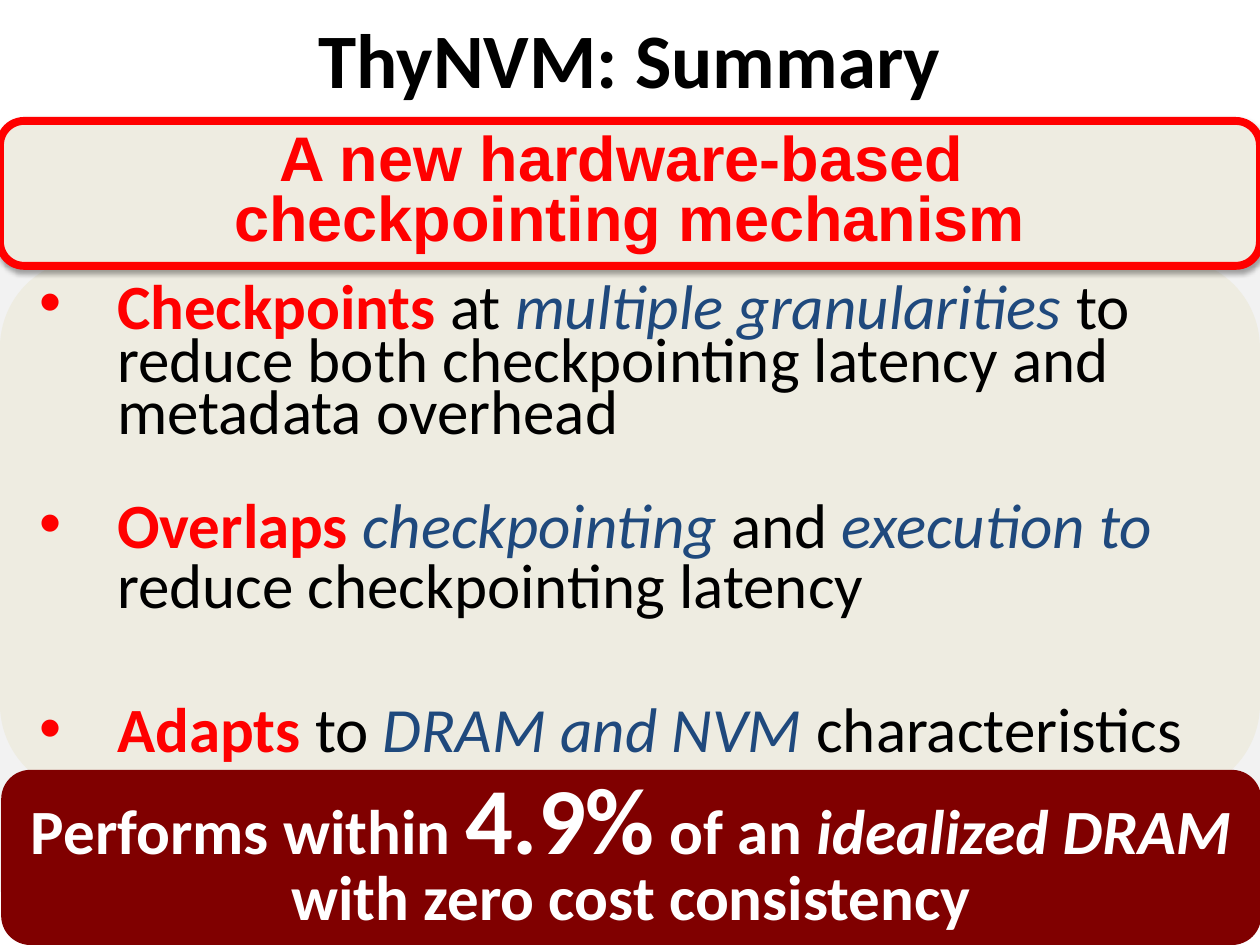
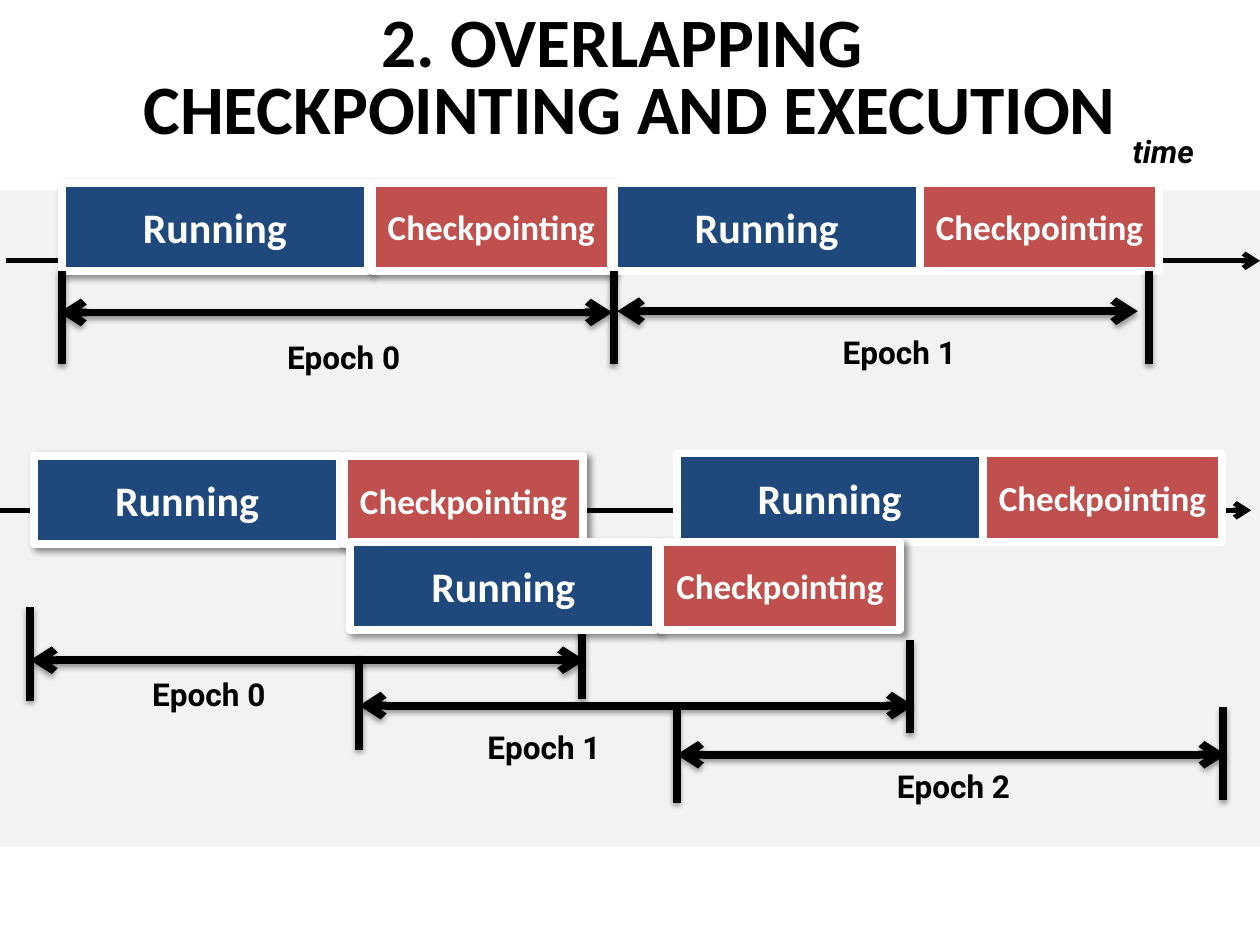
from lxml import etree
from pptx import Presentation
from pptx.dml.color import RGBColor
from pptx.enum.shapes import MSO_CONNECTOR, MSO_SHAPE
from pptx.enum.text import MSO_ANCHOR, MSO_AUTO_SIZE, PP_ALIGN
from pptx.oxml.ns import qn
from pptx.util import Inches, Pt

RECT, ROUND_RECT = MSO_SHAPE.RECTANGLE, MSO_SHAPE.ROUNDED_RECTANGLE
STRAIGHT = MSO_CONNECTOR.STRAIGHT
MIDDLE, CENTER, LEFT = MSO_ANCHOR.MIDDLE, PP_ALIGN.CENTER, PP_ALIGN.LEFT

WHITE = RGBColor(0xFF, 0xFF, 0xFF)
BLACK = RGBColor(0x00, 0x00, 0x00)
BAND_GREY = RGBColor(0xF2, 0xF2, 0xF2)
BEIGE = RGBColor(0xEE, 0xEC, 0xE1)
RED = RGBColor(0xFF, 0x00, 0x00)
NAVY = RGBColor(0x1F, 0x49, 0x7D)
BRICK = RGBColor(0xC0, 0x50, 0x4D)
MAROON = RGBColor(0x80, 0x00, 0x00)

# Shadows: opacity %, blur pt, distance pt, direction in degrees
BANNER_SHADOW = (35, 3.1, 1.8, 90)
TASK_SHADOW = (43, 4, 3, 45)
LINE_SHADOW = (38, 3.1, 1.6, 90)

TITLE_ONLY, TITLE_AND_BODY = 5, 1
SLIDE_W = 10
TITLE_H = 1.25
TICK_H = 0.74
TASK_H, RUN_W, CHECK_W = 0.7, 2.43, 1.9


def inches(*values):
    return [Inches(v) for v in values]


def set_shadow(sp, shadow=None):
    """Replace the theme shadow with the given one, or with none."""
    effects = etree.SubElement(sp._element.spPr, qn("a:effectLst"))
    if shadow:
        alpha, blur, dist, angle = shadow
        outer = etree.SubElement(
            effects, qn("a:outerShdw"), blurRad=str(Pt(blur)),
            dist=str(Pt(dist)), dir=str(angle * 60000), rotWithShape="0")
        color = etree.SubElement(outer, qn("a:srgbClr"), val=str(BLACK))
        etree.SubElement(color, qn("a:alpha"), val=str(alpha * 1000))


def add_run(p, text, size, color, bold=False, italic=False, font="Calibri"):
    r = p.add_run()
    r.text = text
    r.font.name, r.font.size = font, Pt(size)
    r.font.bold, r.font.italic = bold, italic
    r.font.color.rgb = color


def add_box(slide, kind, box, fill, line=None, shadow=None):
    sp = slide.shapes.add_shape(kind, *inches(*box))
    sp.fill.solid()
    sp.fill.fore_color.rgb = fill
    if line:
        sp.line.color.rgb = line
        sp.line.width = Pt(4.5)
    else:
        sp.line.fill.background()
    set_shadow(sp, shadow)
    sp.text_frame.word_wrap = True
    sp.text_frame.vertical_anchor = MIDDLE
    sp.text_frame.paragraphs[0].alignment = CENTER
    return sp


def add_line(slide, start, end, width=4.5, ends=(), shadow=LINE_SHADOW):
    line = slide.shapes.add_connector(STRAIGHT, *inches(*start, *end))
    line.line.color.rgb = BLACK
    line.line.width = Pt(width)
    for end_tag in ends:
        etree.SubElement(line.line._get_or_add_ln(), qn(end_tag), type="arrow")
    set_shadow(line, shadow)


def add_label(slide, text, left, top, width=1.2, italic=False):
    tb = slide.shapes.add_textbox(*inches(left, top, width, 0.4))
    tb.text_frame.word_wrap = True
    add_run(tb.text_frame.paragraphs[0], text, 18, BLACK, True, italic, "Roboto")


def place(ph, box):
    ph.left, ph.top, ph.width, ph.height = inches(*box)
    tf = ph.text_frame
    tf.auto_size, tf.word_wrap = MSO_AUTO_SIZE.NONE, True
    tf.vertical_anchor = MIDDLE
    return tf


def new_slide(prs, layout, title, title_top, size, spacing, band_top, band_h):
    """Add a slide with its bold title over a grey band."""
    slide = prs.slides.add_slide(prs.slide_layouts[layout])
    tf = place(slide.shapes.title, (0, title_top, SLIDE_W, TITLE_H))
    tf.text = title
    p = tf.paragraphs[0]
    p.alignment, p.line_spacing = CENTER, spacing
    for r in p.runs:
        r.font.name, r.font.size, r.font.bold = "Calibri", Pt(size), True
        r.font.color.rgb = BLACK
    add_box(slide, RECT, (0, band_top, SLIDE_W, band_h), BAND_GREY)
    return slide


def add_bullet(p):
    pPr = p._p.get_or_add_pPr()
    pPr.set("marL", str(Inches(0.62)))
    pPr.set("indent", str(-Inches(0.62)))
    etree.SubElement(pPr, qn("a:buFont"), typeface="Arial")
    etree.SubElement(pPr, qn("a:buChar"), char="•")


def add_findings(slide, box):
    """Bulleted list on a rounded panel; each item opens with a red keyword."""
    findings = [
        (0.7, 0, "Checkpoints",
         [(" at ", False), ("multiple granularities ", True),
          ("to reduce both checkpointing latency and metadata overhead", False)]),
        (0.8, 31, "Overlaps ",
         [("checkpointing", True), (" and ", False), ("execution to ", True),
          ("reduce checkpointing latency", False)]),
        (1.1, 35, "Adapts",
         [(" to ", False), ("DRAM and NVM ", True), ("characteristics", False)]),
    ]
    panel = add_box(slide, ROUND_RECT, box, BEIGE)
    body = slide.placeholders[1]
    panel._element.addnext(body._element)
    tf = place(body, box)
    tf.margin_left = tf.margin_right = Inches(0.31)
    for i, (spacing, before, keyword, rest) in enumerate(findings):
        p = tf.add_paragraph() if i else tf.paragraphs[0]
        add_bullet(p)
        p.alignment, p.line_spacing = LEFT, spacing
        p.space_before = Pt(before)
        add_run(p, keyword, 36, RED, bold=True)
        for text, stressed in rest:
            add_run(p, text, 36, NAVY if stressed else BLACK, italic=stressed)


def add_result(slide, box):
    p = add_box(slide, ROUND_RECT, box, MAROON).text_frame.paragraphs[0]
    p.line_spacing = 0.8
    for text, size, italic in [
            ("Performs within ", 36, False), ("4.9%", 54, False),
            (" of an ", 36, False), ("idealized DRAM ", 36, True),
            ("with zero cost consistency", 36, False)]:
        add_run(p, text, size, WHITE, True, italic)


def add_headline(slide, box):
    tf = add_box(slide, ROUND_RECT, box, BEIGE, RED, BANNER_SHADOW).text_frame
    tf.add_paragraph()
    lines = ["A new hardware-based ", "checkpointing mechanism"]
    for p, text in zip(tf.paragraphs, lines):
        p.alignment, p.line_spacing = CENTER, 0.8
        add_run(p, text, 36, RED, bold=True, font="Arial")


def summary_slide(prs):
    slide = new_slide(prs, TITLE_AND_BODY, "ThyNVM: Summary",
                      -0.17, 44, 1.0, 1.08, 6)
    add_findings(slide, (0, 2.05, SLIDE_W, 4.25))
    add_result(slide, (0.01, 6.11, SLIDE_W, 1.39))
    add_headline(slide, (0, 0.96, SLIDE_W, 1.15))


def add_axis(slide, left, right, y):
    add_line(slide, (left, y), (right, y), 3, ["a:tailEnd"], None)


def add_tasks(slide, top, pairs):
    """Draw (left, drop, raised) pairs: a run and the checkpoint after it."""
    for left, drop, raised in pairs:
        shadow = TASK_SHADOW if raised else None
        check_left = left + RUN_W + (0.03 if raised else 0)
        for text, x, width, size, fill in [
                ("Running", left, RUN_W, 24, NAVY),
                ("Checkpointing", check_left, CHECK_W, 20, BRICK)]:
            sp = add_box(slide, RECT, (x, top + drop, width, TASK_H),
                         fill, WHITE, shadow)
            add_run(sp.text_frame.paragraphs[0], text, size, WHITE, bold=True)


def add_epochs(slide, top, ticks, spans):
    """Draw tick marks, then a numbered two-headed arrow for each epoch."""
    for x, drop in ticks:
        add_line(slide, (x, top + drop), (x, top + drop + TICK_H))
    for n, (start, end, drop, label_left, label_drop) in enumerate(spans):
        y = top + drop
        add_line(slide, (start, y), (end, y), ends=["a:headEnd", "a:tailEnd"])
        add_label(slide, f"Epoch {n}", label_left, top + label_drop)


def add_serial_timeline(slide, top):
    add_axis(slide, 0.05, SLIDE_W, top + 0.62)
    add_label(slide, "time", 8.89, top - 0.45, 0.85, italic=True)
    add_tasks(slide, top, [(0.49, 0, True), (4.87, 0, False)])
    add_epochs(slide, top,
               [(x, TASK_H) for x in (0.49, 4.87, 9.12)],
               [(0.47, 4.86, 1.03, 2.18, 1.18),
                (4.9, 9.03, 1.02, 6.59, 1.14)])


def add_overlapped_timeline(slide, top):
    add_axis(slide, -0.02, 9.93, top + 0.45)
    add_epochs(slide, top,
               [(0.24, 1.22), (4.62, 1.21), (2.85, 1.61),
                (7.22, 1.48), (5.37, 2.03), (9.71, 2.01)],
               [(0.24, 4.64, 1.64, 1.11, 1.71),
                (2.85, 7.25, 2.0, 3.77, 2.13),
                (5.37, 9.73, 2.39, 7.02, 2.44)])
    add_tasks(slide, top,
              [(0.27, 0.02, True), (5.37, 0, False), (2.78, TASK_H, True)])


def overlapping_slide(prs):
    slide = new_slide(prs, TITLE_ONLY,
                      "2. OVERLAPPING \vCHECKPOINTING AND EXECUTION",
                      0.02, 39.6, 0.8, 1.51, 5.21)
    add_serial_timeline(slide, 1.45)
    add_overlapped_timeline(slide, 3.6)


def main():
    prs = Presentation()
    prs.slide_width, prs.slide_height = inches(SLIDE_W, 7.5)
    summary_slide(prs)
    overlapping_slide(prs)
    prs.save("out.pptx")


if __name__ == "__main__":
    main()
